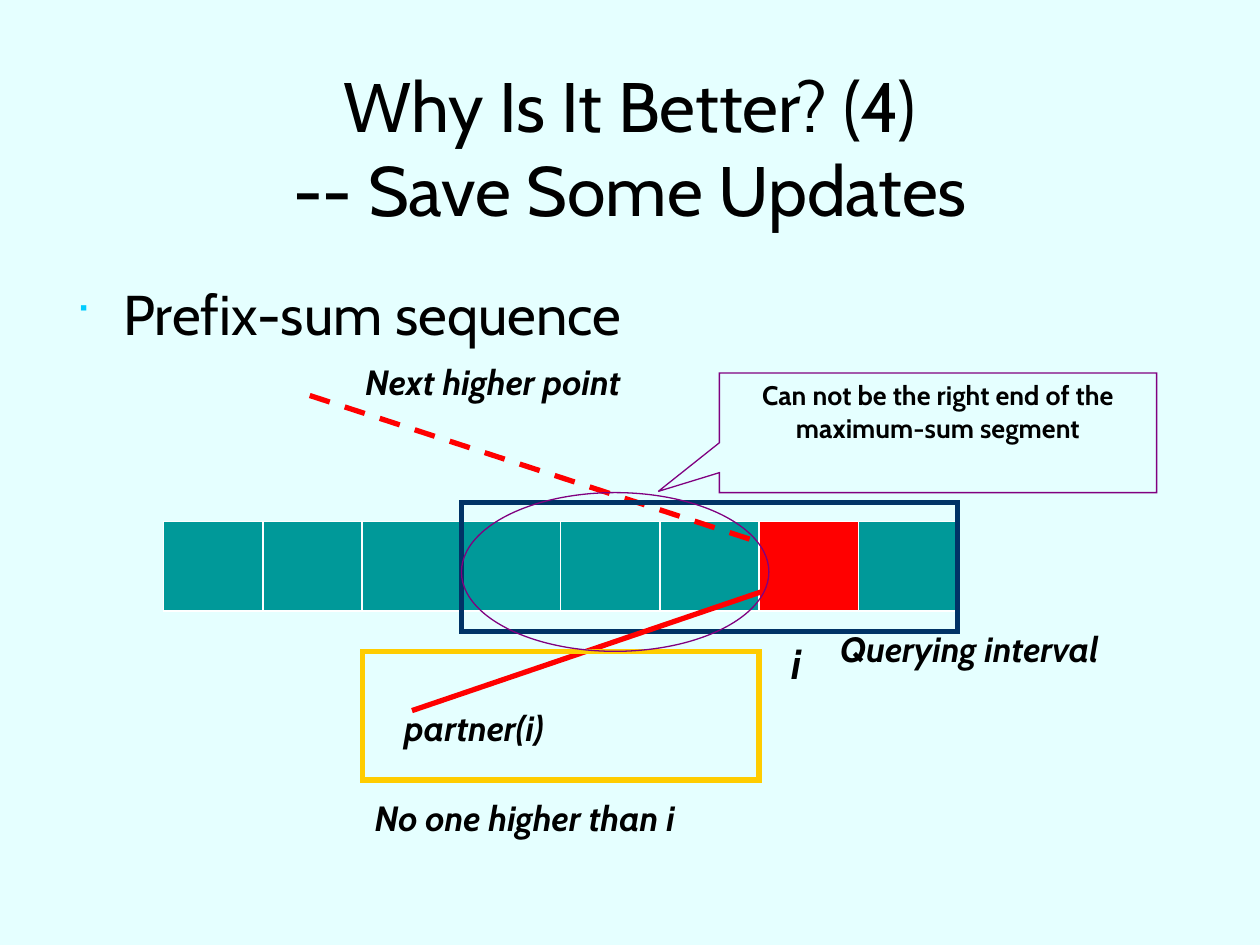
from lxml import etree
from pptx import Presentation
from pptx.dml.color import RGBColor
from pptx.enum.dml import MSO_LINE
from pptx.enum.shapes import MSO_CONNECTOR, MSO_SHAPE
from pptx.enum.text import MSO_ANCHOR, PP_ALIGN
from pptx.oxml.ns import qn
from pptx.util import Inches, Pt

BACKGROUND = RGBColor(0xE5, 0xFF, 0xFF)
BLACK = RGBColor(0, 0, 0)
WHITE = RGBColor(0xFF, 0xFF, 0xFF)
TEAL = RGBColor(0x00, 0x99, 0x99)
RED = RGBColor(0xFF, 0, 0)
NAVY = RGBColor(0x00, 0x33, 0x66)
GOLD = RGBColor(0xFF, 0xCC, 0x00)
PURPLE = RGBColor(0x80, 0, 0x80)
BULLET = RGBColor(0x00, 0xCC, 0xFF)

RECTANGLE = MSO_SHAPE.RECTANGLE
OVAL = MSO_SHAPE.OVAL
CALLOUT = MSO_SHAPE.RECTANGULAR_CALLOUT
STRAIGHT = MSO_CONNECTOR.STRAIGHT
DASH = MSO_LINE.DASH
LEFT, CENTER = PP_ALIGN.LEFT, PP_ALIGN.CENTER
TOP, MIDDLE = MSO_ANCHOR.TOP, MSO_ANCHOR.MIDDLE

FONT = "Cabin"
CELL_COUNT = 8
CURRENT_CELL = 6


def inches(box):
    return [Inches(length) for length in box]


def add_run(paragraph, text, size, bold=False, italic=False):
    run = paragraph.add_run()
    run.text = text
    run.font.name = FONT
    run.font.size = Pt(size)
    run.font.bold = bold
    run.font.italic = italic
    run.font.color.rgb = BLACK


def add_text_box(slide, box, align=LEFT, anchor=TOP):
    frame = slide.shapes.add_textbox(*inches(box)).text_frame
    frame.word_wrap = True
    frame.vertical_anchor = anchor
    paragraph = frame.paragraphs[0]
    paragraph.alignment = align
    return paragraph


def add_label(slide, box, text, size=20):
    add_run(add_text_box(slide, box), text, size, bold=True, italic=True)


def add_outline(slide, kind, box, color, weight, fill=None):
    outline = slide.shapes.add_shape(kind, *inches(box))
    outline.shadow.inherit = False
    if fill is None:
        outline.fill.background()
    else:
        outline.fill.solid()
        outline.fill.fore_color.rgb = fill
    outline.line.color.rgb = color
    outline.line.width = Pt(weight)
    etree.SubElement(outline.line._get_or_add_ln(), qn("a:miter"), lim="800000")
    return outline


def add_link(slide, start, end, dash=None):
    link = slide.shapes.add_connector(STRAIGHT, *inches(start + end))
    link.line.color.rgb = RED
    link.line.width = Pt(3)
    if dash is not None:
        link.line.dash_style = dash
    etree.SubElement(link._element.spPr, qn("a:effectLst"))


def add_title(slide, box):
    paragraph = add_text_box(slide, box, CENTER, MIDDLE)
    add_run(paragraph, "Why Is It Better? (4)", 40)
    paragraph.add_line_break()
    add_run(paragraph, "-- Save Some Updates", 40)


def add_body(slide, box):
    paragraph = add_text_box(slide, box)
    properties = paragraph._p.get_or_add_pPr()
    properties.set("marL", str(Inches(0.38)))
    properties.set("indent", str(-Inches(0.38)))
    bullet_color = etree.SubElement(properties, qn("a:buClr"))
    etree.SubElement(bullet_color, qn("a:srgbClr"), val=str(BULLET))
    etree.SubElement(properties, qn("a:buSzPct"), val="65000")
    etree.SubElement(properties, qn("a:buFont"), typeface="Wingdings", charset="2")
    etree.SubElement(properties, qn("a:buChar"), char="■")
    add_run(paragraph, "Prefix-sum sequence", 32)


def add_sequence(slide, box):
    left, top, width, height = box
    pitch = width / CELL_COUNT

    def column(index):
        return left + index * pitch

    for index in range(CELL_COUNT):
        fill = RED if index == CURRENT_CELL else TEAL
        add_outline(slide, RECTANGLE, (column(index), top, pitch, height), WHITE, 0.75, fill)

    current_middle = column(CURRENT_CELL) + 0.48
    add_link(slide, (current_middle, top + 0.32), (left + 1.1, top - 1.02), DASH)
    add_label(slide, (column(CURRENT_CELL) + 0.16, top + 0.87, 1.18, 0.5), "i", 24)
    add_outline(slide, RECTANGLE, (column(3), top - 0.15, 5 * pitch, 1.02), NAVY, 3)
    add_link(slide, (current_middle, top + 0.4), (left + 1.97, top + 1.5))
    add_label(slide, (left + 1.81, top + 1.42, 2.28, 0.44), "partner(i)")
    add_label(slide, (left + 1.5, top - 1.33, 2.91, 0.44), "Next higher point")
    add_label(slide, (left + 5.27, top + 0.79, 2.91, 0.44), "Querying interval")
    add_outline(slide, RECTANGLE, (column(2), top + 1.03, 4 * pitch, 1.02), GOLD, 3)
    add_label(slide, (column(2), top + 2.13, 3.23, 0.44), "No one higher than i")
    add_outline(slide, OVAL, (column(3), top - 0.23, 2.44, 1.26), PURPLE, 0.75)


def add_callout(slide, box):
    callout = add_outline(slide, CALLOUT, box, PURPLE, 0.75)
    callout.adjustments[0] = -0.64
    callout.adjustments[1] = 0.49
    frame = callout.text_frame
    frame.word_wrap = True
    frame.vertical_anchor = TOP
    paragraph = frame.paragraphs[0]
    paragraph.alignment = CENTER
    add_run(paragraph, "Can not be the right end of the maximum-sum segment", 15.3, bold=True)


def main():
    presentation = Presentation()
    presentation.slide_width = Inches(10)
    presentation.slide_height = Inches(7.5)
    slide = presentation.slides.add_slide(presentation.slide_layouts[6])
    slide.background.fill.solid()
    slide.background.fill.fore_color.rgb = BACKGROUND
    add_title(slide, (0.5, 0.41, 9, 1.5))
    add_body(slide, (0.5, 2.17, 9, 4.5))
    add_sequence(slide, (1.3, 4.14, 6.3, 0.71))
    add_callout(slide, (5.71, 2.96, 3.47, 0.95))
    presentation.save("out.pptx")


if __name__ == "__main__":
    main()
